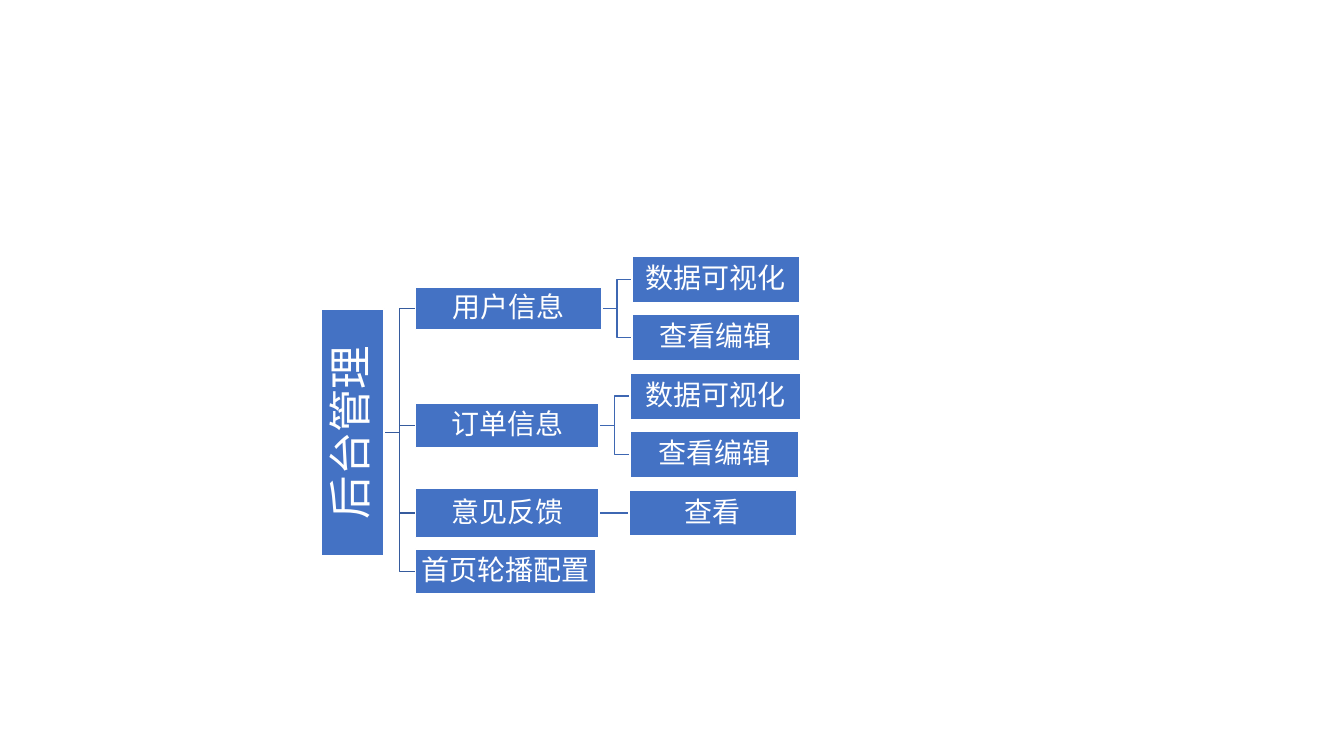
"""Draw the module tree of the admin back end."""
from dataclasses import dataclass, field

from lxml import etree
from pptx import Presentation
from pptx import util as u
from pptx.dml.color import RGBColor
from pptx.enum import shapes, text
from pptx.oxml import ns

COLORS = {"box": "4472C4", "edge": "FFFFFF", "text": "FFFFFF",
          "trunk": "365B9D", "twig": "3E67B2"}
FONT = "Noto Sans CJK SC"


@dataclass
class Node:
    """A box of the tree, placed by its left edge and middle height."""
    label: str
    left: float
    mid: float
    width: float
    height: float
    kids: list["Node"] = field(default_factory=list)
    size: int = 20
    pad: float = 0.01
    turned: bool = False


TREE = Node("后台管理", 3.19, 4.29, 0.62, 2.45, [
    Node("用户信息", 4.12, 3.06, 1.85, 0.42, [
        Node("数据可视化", 6.27, 2.77, 1.66, 0.46),
        Node("查看编辑", 6.27, 3.35, 1.66, 0.46)]),
    Node("订单信息", 4.12, 4.22, 1.82, 0.44, [
        Node("数据可视化", 6.25, 3.93, 1.69, 0.46),
        Node("查看编辑", 6.25, 4.51, 1.67, 0.46)]),
    Node("意见反馈", 4.12, 5.09, 1.82, 0.49, [
        Node("查看", 6.24, 5.09, 1.66, 0.46)]),
    Node("首页轮播配置", 4.12, 5.67, 1.79, 0.45, pad=0.02),
], size=31, pad=0.02, turned=True)


def color(name: str) -> RGBColor:
    """Look up a named colour."""
    return RGBColor.from_string(COLORS[name])


def link(slide, top: Node, kid: Node, hue: str) -> None:
    """Join a node to its child, with a bend halfway if heights differ."""
    start, end = top.left + top.width, kid.left
    bend = (start + end) / 2
    points = [(u.Inches(x), u.Inches(y)) for x, y in (
        (start, top.mid), (bend, top.mid), (bend, kid.mid), (end, kid.mid))]
    if top.mid == kid.mid:
        line = slide.shapes.add_connector(
            shapes.MSO_CONNECTOR.STRAIGHT, *points[0], *points[-1])
        etree.SubElement(line._element.spPr, ns.qn("a:effectLst"))
    else:
        pen = slide.shapes.build_freeform(*points[0])
        pen.add_line_segments(points[1:], close=False)
        line = pen.convert_to_shape()
        line.fill.background()
        line.shadow.inherit = False
    line.line.color.rgb = color(hue)
    line.line.width = u.Pt(1)


def links(slide, node: Node, hue: str = "trunk") -> None:
    """Draw all links below a node."""
    for kid in node.kids:
        link(slide, node, kid, hue)
        links(slide, kid, "twig")


def box(slide, node: Node) -> None:
    """Draw one labelled box."""
    wide, high = node.width, node.height
    if node.turned:
        wide, high = high, wide
    left = node.left + (node.width - wide) / 2
    rect = slide.shapes.add_shape(
        shapes.MSO_SHAPE.RECTANGLE, u.Inches(left),
        u.Inches(node.mid - high / 2), u.Inches(wide), u.Inches(high))
    rect.rotation = 270 if node.turned else 0
    rect.shadow.inherit = False
    rect.fill.solid()
    rect.fill.fore_color.rgb = color("box")
    rect.line.color.rgb = color("edge")
    rect.line.width = u.Pt(1)
    frame = rect.text_frame
    frame.word_wrap = True
    frame.vertical_anchor = text.MSO_ANCHOR.MIDDLE
    frame.margin_left = frame.margin_right = u.Inches(node.pad)
    frame.margin_top = frame.margin_bottom = u.Inches(node.pad)
    frame.text = node.label
    para = frame.paragraphs[0]
    para.alignment = text.PP_ALIGN.CENTER
    para.line_spacing = 0.9
    font = para.runs[0].font
    font.size = u.Pt(node.size)
    font.color.rgb = color("text")
    font.name = FONT
    etree.SubElement(font._element, ns.qn("a:ea"), typeface=FONT)


def boxes(slide, node: Node) -> None:
    """Draw a node and every box below it."""
    box(slide, node)
    for kid in node.kids:
        boxes(slide, kid)


def main() -> None:
    """Build and save the slide."""
    deck = Presentation()
    deck.slide_width, deck.slide_height = u.Inches(13.33), u.Inches(7.5)
    slide = deck.slides.add_slide(deck.slide_layouts[6])
    links(slide, TREE)
    boxes(slide, TREE)
    deck.save("out.pptx")


main()
